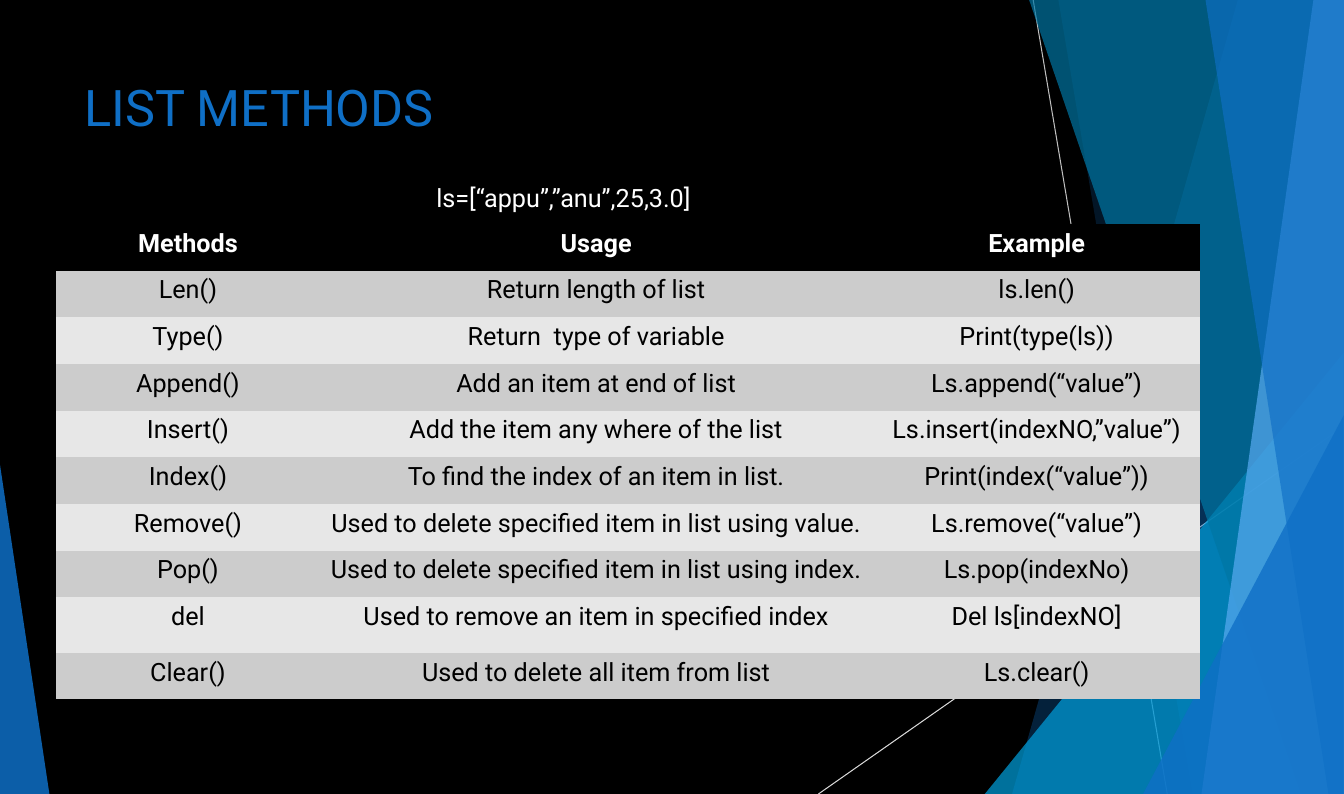
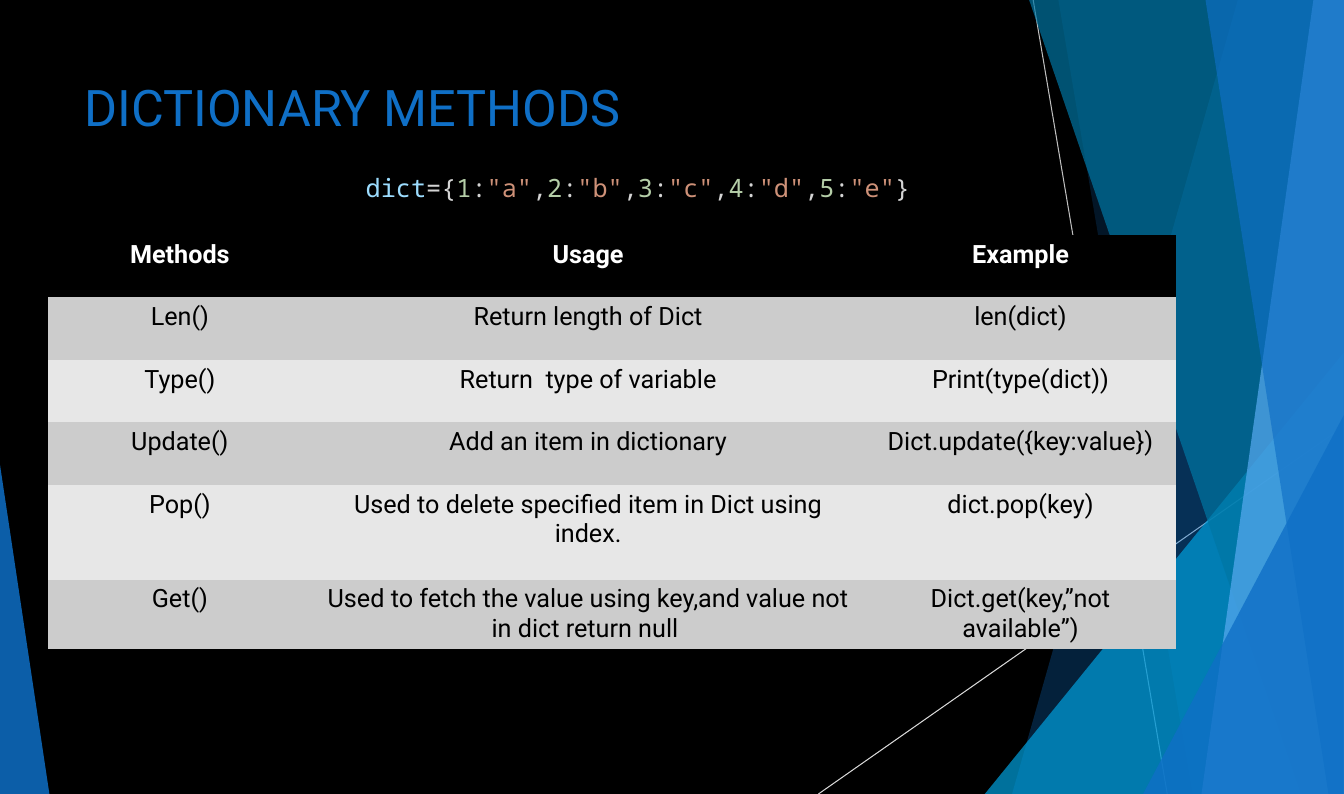
"""Two slides listing the methods of Python lists and dictionaries."""
from lxml import etree
from pptx import Presentation
from pptx import util as u
from pptx.dml.color import RGBColor
from pptx.enum import shapes, text
from pptx.oxml.ns import qn

WIDTH, HEIGHT = u.Pt(960), u.Pt(567)
BLUE, BLACK, WHITE = "0F6FC6", "000000", "FFFFFF"
BANDS = ["E7E7E7", "CCCCCC"]
PUNCTUATION, NAME, NUMBER, STRING = "D4D4D4", "9CDCFE", "B5CEA8", "CE9178"
PLAIN_TABLE = "{2D5ABB26-0587-4C30-8999-92F81FD0307C}"


def paint(fill, colour):
    fill.solid()
    fill.fore_color.rgb = RGBColor.from_string(colour)


def style(run, size, colour, face="Roboto", bold=False):
    run.font.size, run.font.name, run.font.bold = u.Pt(size), face, bold
    paint(run.font.fill, colour)


deck = Presentation()
deck.slide_width, deck.slide_height = WIDTH, HEIGHT
master, layout = deck.slide_master, deck.slide_layouts[5]
paint(master.background.fill, BLACK)

heading = layout.placeholders[0]
heading.left, heading.top = u.Inches(0.74), u.Inches(0.7)
heading.width, heading.height = u.Inches(9.4), u.Inches(1.52)

list_slide, dict_slide = [deck.slides.add_slide(layout) for _ in range(2)]

facets = list_slide.shapes.add_group_shape()
for x1, y1, x2, colour in [(10.25, 0, 11.58, "BFBFBF"), (13.33, 4.23, 8.12, "D9D9D9")]:
    ray = facets.shapes.add_connector(
        shapes.MSO_CONNECTOR.STRAIGHT, u.Inches(x1), u.Inches(y1), u.Inches(x2), HEIGHT)
    paint(ray.line.fill, colour)
    ray.line.width = u.Pt(0.75)
    etree.SubElement(ray.element.spPr, qn("a:effectLst"))

for peak_x, foot_x, peak_y, colour, opacity in [
    (12.28, 10.04, 0, BLUE, 30),
    (10.5, 11.83, 0, BLUE, 20),
    (13.33, 9.77, 3.5, "009DD9", 72),
    (10.21, 12.91, 0, "0076A3", 70),
    (13.03, 11.92, 0, "59AAF2", 70),
    (11.96, 13.18, 0, BLUE, 65),
    (13.33, 11.34, 4.12, BLUE, 80),
    (0, 0.49, 4.61, BLUE, 85),
]:
    peak, foot, top = u.Inches(peak_x), u.Inches(foot_x), u.Inches(peak_y)
    if peak_y:
        facet = facets.shapes.add_shape(
            shapes.MSO_SHAPE.ISOSCELES_TRIANGLE,
            min(peak, foot), top, abs(peak - foot), HEIGHT - top)
        facet.adjustments[0] = 1 if peak > foot else 0
    else:
        outline = facets.shapes.build_freeform(peak, top)
        outline.add_line_segments([(WIDTH, top), (WIDTH, HEIGHT), (foot, HEIGHT)])
        facet = outline.convert_to_shape()
    facet.shadow.inherit = False
    facet.line.fill.background()
    paint(facet.fill, colour)
    tint = facet.element.xpath("./p:spPr/a:solidFill/a:srgbClr")[0]
    etree.SubElement(tint, qn("a:alpha")).set("val", str(opacity * 1000))

for number, tag in enumerate(facets.element.xpath(".//p:cNvPr"), 20):
    tag.set("id", str(number))
master.shapes.element.append(facets.element)

header = ("Methods", "Usage", "Example")
list_methods = [
    header,
    ("Len()", "Return length of list", "ls.len()"),
    ("Type()", "Return  type of variable", "Print(type(ls))"),
    ("Append()", "Add an item at end of list", "Ls.append(“value”)"),
    ("Insert()", "Add the item any where of the list", "Ls.insert(indexNO,”value”)"),
    ("Index()", "To find the index of an item in list.", "Print(index(“value”))"),
    ("Remove()", "Used to delete specified item in list using value.", "Ls.remove(“value”)"),
    ("Pop()", "Used to delete specified item in list using index.", "Ls.pop(indexNo)"),
    ("del", "Used to remove an item in specified index", "Del ls[indexNO]"),
    ("Clear()", "Used to delete all item from list", "Ls.clear()"),
]
dict_methods = [
    header,
    ("Len()", "Return length of Dict", "len(dict)"),
    ("Type()", "Return  type of variable", "Print(type(dict))"),
    ("Update()", "Add an item in dictionary", "Dict.update({key:value})"),
    ("Pop()", "Used to delete specified item in Dict using index.", "dict.pop(key)"),
    ("Get()", "Used to fetch the value using key,and value not in dict return null ",
     "Dict.get(key,”not available”)"),
]

list_code = [("ls=[“appu”,”anu”,25,3.0]", WHITE)]
dict_code = [("dict", NAME)]
for number, letter in enumerate("abcde", 1):
    dict_code += [("={" if number == 1 else ",", PUNCTUATION), (str(number), NUMBER),
                  (":", PUNCTUATION), (f'"{letter}"', STRING)]
dict_code.append(("}", PUNCTUATION))

for slide, title, methods, place, example_width, row_height, tall_row, code, face, code_box in [
    (list_slide, "LIST METHODS", list_methods, (0.56, 2.22), 3.25, HEIGHT // 17,
     (8, 0.55), list_code, "Roboto", (4.23, 1.76, 3.1, 0.4)),
    (dict_slide, "DICTIONARY METHODS", dict_methods, (0.48, 2.33), 3.09, u.Inches(0.62),
     (4, 0.94), dict_code, "Noto Sans Mono", (3.53, 1.66, 5.78, 0.71)),
]:
    slide.shapes.title.text_frame.text = title
    slide.shapes.title.text_frame.vertical_anchor = text.MSO_ANCHOR.TOP
    title_line = slide.shapes.title.text_frame.paragraphs[0]
    title_line.alignment = text.PP_ALIGN.LEFT
    style(title_line.runs[0], 36, BLUE)

    widths = [u.Inches(w) for w in (2.61, 5.49, example_width)]
    frame = slide.shapes.add_table(
        len(methods), len(widths), *map(u.Inches, place), sum(widths), row_height * len(methods))
    frame.element.xpath(".//a:tableStyleId")[0].text = PLAIN_TABLE
    grid = frame.table
    for column, width in zip(grid.columns, widths):
        column.width = width
    for row in grid.rows:
        row.height = row_height
    grid.rows[tall_row[0]].height = u.Inches(tall_row[1])
    for r, entries in enumerate(methods):
        for c, entry in enumerate(entries):
            cell = grid.cell(r, c)
            paint(cell.fill, BANDS[r % 2] if r else BLACK)
            cell.text_frame.text = entry
            line = cell.text_frame.paragraphs[0]
            line.alignment = text.PP_ALIGN.CENTER
            style(line.runs[0], 18, BLACK if r else WHITE, bold=r == 0)

    sample = slide.shapes.add_textbox(*map(u.Inches, code_box)).text_frame
    sample.word_wrap = slide is dict_slide
    for token, colour in code:
        run = sample.paragraphs[0].add_run()
        run.text = token
        style(run, 18, colour, face)

deck.save("out.pptx")
